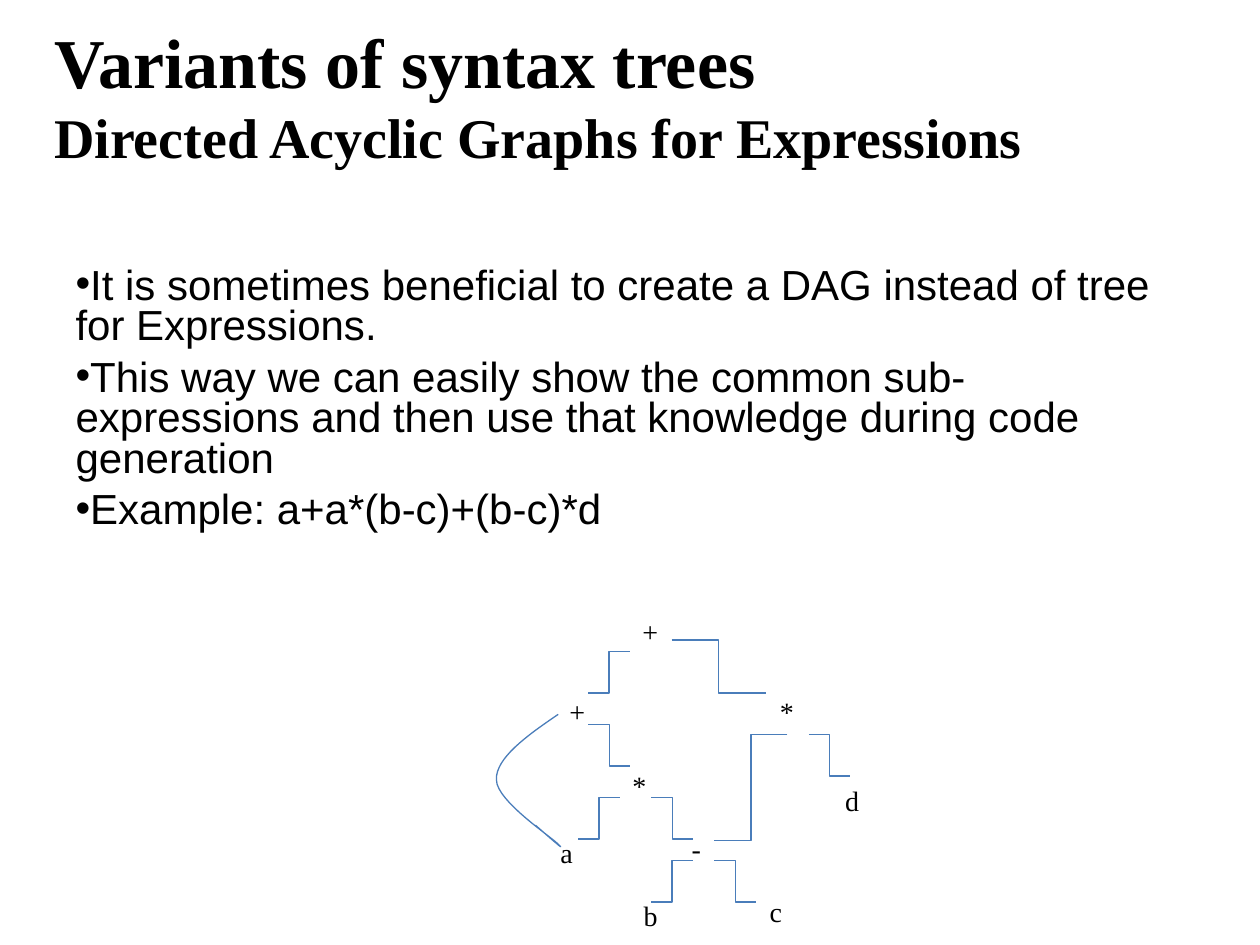
from lxml import etree
from pptx import Presentation
from pptx import util as u
from pptx.dml.color import RGBColor
from pptx.enum import shapes, text
from pptx.oxml.ns import qn

COLORS = {"text": "000000", "edge": "4A7DBA"}
SERIF, SANS = "Times New Roman", "Arial"


class DagSlide:
    """Style and current slide, with one method per kind of element."""

    def __init__(self, slide):
        self.slide = slide

    def place(self, shape, left, top, width, height):
        shape.left, shape.top = u.Inches(left), u.Inches(top)
        shape.width, shape.height = u.Inches(width), u.Inches(height)

    def style(self, run, font, size, bold=False):
        run.font.name, run.font.size, run.font.bold = font, u.Pt(size), bold
        run.font.color.rgb = RGBColor.from_string(COLORS["text"])

    def stroke(self, line):
        line.color.rgb = RGBColor.from_string(COLORS["edge"])
        line.width = u.Pt(0.75)

    def title(self, box, lines, sizes):
        heading = self.slide.shapes.title
        self.place(heading, *box)
        frame = heading.text_frame
        frame.auto_size = text.MSO_AUTO_SIZE.NONE
        frame.vertical_anchor = text.MSO_ANCHOR.MIDDLE
        frame.text = "\v".join(lines)
        frame.paragraphs[0].alignment = text.PP_ALIGN.LEFT
        for run, size in zip(frame.paragraphs[0].runs, sizes):
            self.style(run, SERIF, size, bold=True)

    def bullets(self, box, points):
        body = self.slide.placeholders[1]
        self.place(body, *box)
        frame = body.text_frame
        frame.auto_size = text.MSO_AUTO_SIZE.NONE
        frame.text = "\n".join(points)
        for index, point in enumerate(frame.paragraphs):
            point.line_spacing = 0.8
            point.space_before = u.Pt(6.4 if index else 0)
            self.style(point.runs[0], SANS, 24)
            # Bullets run inline with the text, without a hanging indent
            props = point._p.get_or_add_pPr()
            props.set("marL", "0")
            props.set("indent", "0")
            etree.SubElement(props, qn("a:buChar")).set("char", "•")

    def node(self, symbol, left, top, width):
        label = self.slide.shapes.add_textbox(
            u.Inches(left), u.Inches(top), u.Inches(width), u.Inches(0.37))
        frame = label.text_frame
        frame.word_wrap = True
        frame.text = symbol
        self.style(frame.paragraphs[0].runs[0], SERIF, 16)

    def edge(self, *ends):
        elbow = self.slide.shapes.add_connector(
            shapes.MSO_CONNECTOR.ELBOW, *map(u.Inches, ends))
        self.stroke(elbow.line)
        etree.SubElement(elbow._element.spPr, qn("a:effectLst"))

    def curve(self, start, segments, steps=16):
        """Draw joined cubic Bezier segments as a smooth open outline."""
        points, origin = [], start
        for c1, c2, end in segments:
            for step in range(1, steps + 1):
                t = step / steps
                weights = ((1 - t) ** 3, 3 * t * (1 - t) ** 2,
                           3 * t ** 2 * (1 - t), t ** 3)
                points.append(tuple(
                    u.Inches(sum(w * p[axis] for w, p in
                                 zip(weights, (origin, c1, c2, end))))
                    for axis in (0, 1)))
            origin = end
        builder = self.slide.shapes.build_freeform(*map(u.Inches, start))
        builder.add_line_segments(points, close=False)
        arc = builder.convert_to_shape()
        arc.shadow.inherit = False
        arc.fill.background()
        self.stroke(arc.line)


def main():
    deck = Presentation()
    deck.slide_width, deck.slide_height = u.Inches(10), u.Inches(7.5)
    dag = DagSlide(deck.slides.add_slide(deck.slide_layouts[1]))

    # Heading and explanation
    dag.title((0.33, 0.31, 9.36, 0.88),
              ("Variants of syntax trees",
               "Directed Acyclic Graphs for Expressions"), (40, 32))
    dag.bullets((0.5, 2.08, 9, 2.72), (
        "It is sometimes beneficial to create a DAG instead of tree "
        "for Expressions.",
        "This way we can easily show the common sub-expressions and then "
        "use that knowledge during code generation",
        "Example: a+a*(b-c)+(b-c)*d"))

    # Operators and operands: symbol, left, top, width
    for node in (("+", 5, 4.83, 0.33), ("+", 4.42, 5.46, 0.33),
                 ("*", 6.09, 5.46, 0.31), ("*", 4.92, 6.05, 0.31),
                 ("-", 5.39, 6.55, 0.28), ("a", 4.35, 6.58, 0.3),
                 ("b", 5.01, 7.08, 0.31), ("c", 6.01, 7.05, 0.3),
                 ("d", 6.61, 6.17, 0.31)):
        dag.node(*node)

    # Small elbows: parent end, and direction towards the child
    reach = 0.33
    for x, y, side in ((5, 5.17, -1), (4.92, 6.33, -1), (5.17, 6.33, 1),
                       (4.67, 5.75, 1), (5.5, 6.83, -1), (5.67, 6.83, 1),
                       (6.42, 5.83, 1)):
        dag.edge(x, y, x + side * reach, y + reach)

    # Long elbows: root to right product, right product to difference
    dag.edge(5.33, 5.08, 6.08, 5.5)
    dag.edge(6.25, 5.83, 5.67, 6.67)

    # Shared operand a, reached from the left sum
    dag.curve((4.43, 5.67), (
        ((4.18, 5.84), (3.93, 6.02), (3.94, 6.19)),
        ((3.94, 6.36), (4.39, 6.65), (4.44, 6.71)),
        ((4.5, 6.77), (4.25, 6.55), (4.25, 6.55))))

    deck.save("out.pptx")


if __name__ == "__main__":
    main()
